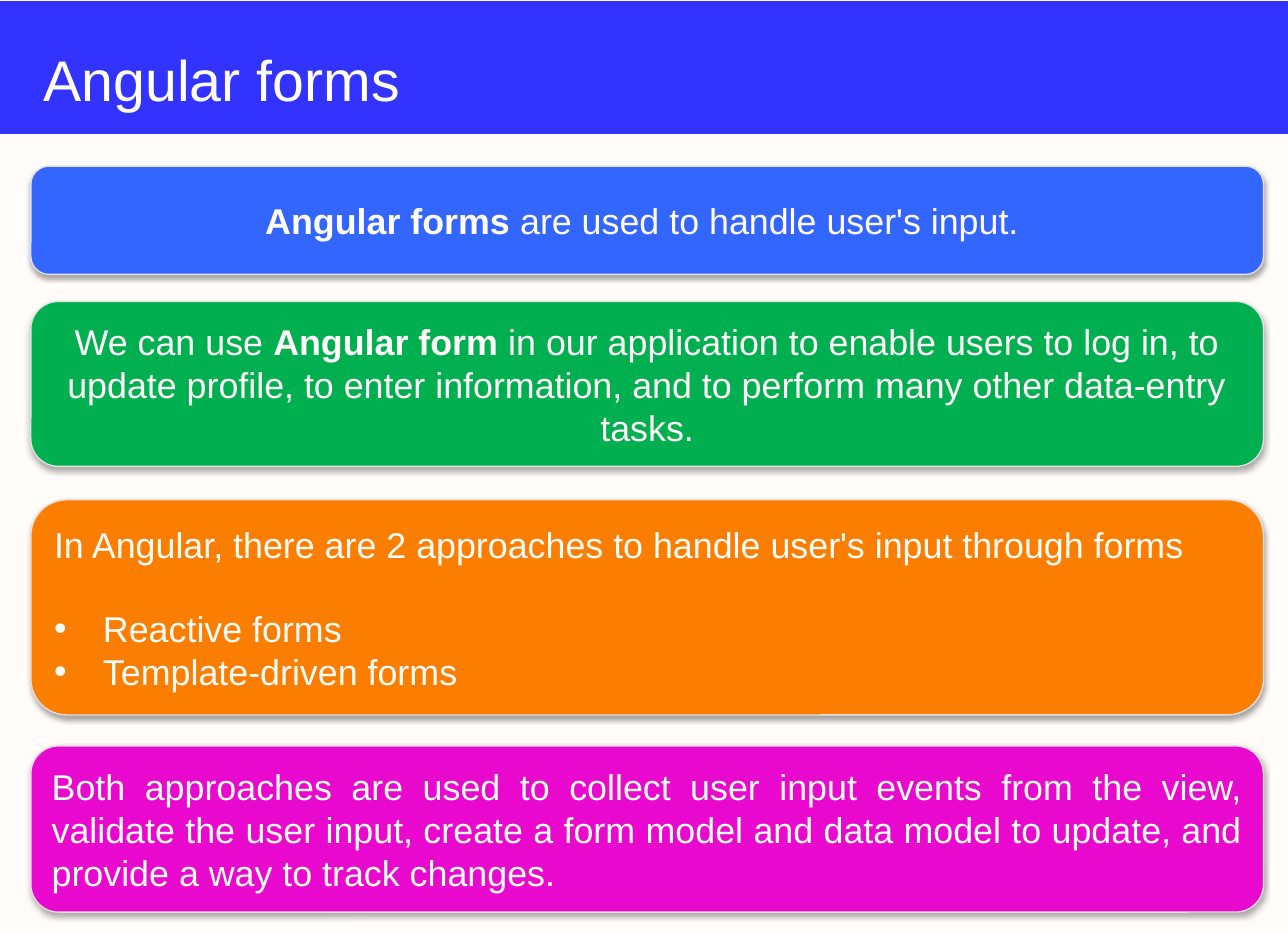
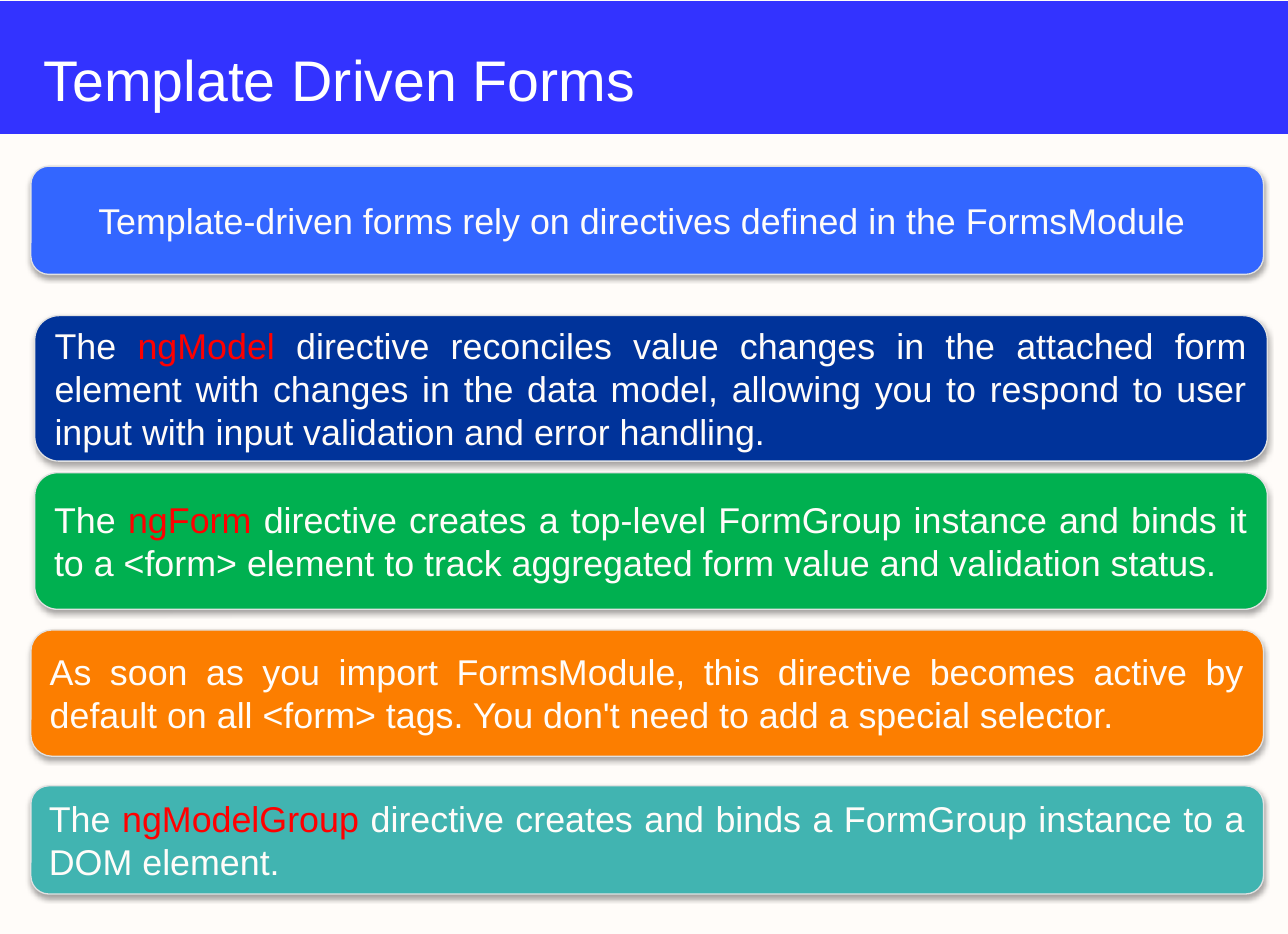
from dataclasses import dataclass

from lxml.etree import SubElement
from pptx import Presentation
from pptx.dml.color import RGBColor
from pptx.enum.shapes import MSO_SHAPE
from pptx.enum.text import MSO_ANCHOR, PP_ALIGN
from pptx.oxml.ns import qn
from pptx.util import Emu, Pt

PX = 9144  # 100 px to the inch
LEFT, CARD_W = 24, 957


@dataclass(frozen=True)
class Theme:
    font: str = "Arial"
    title_size: int = 32
    body_size: int = 20
    background: str = "FFFCF9"
    band: str = "3333FF"
    title: str = "FFFFFF"
    text: str = "FFFCF9"
    keyword: str = "FF0000"
    border: str = "E1E1E1"
    blue: str = "3366FF"
    navy: str = "00339A"
    green: str = "00B050"
    orange: str = "FC7E00"
    magenta: str = "E909CE"
    teal: str = "41B4B1"


def px(*lengths):
    return [Emu(n * PX) for n in lengths]


class Deck:
    def __init__(self, theme):
        self.theme = theme
        self.prs = Presentation()
        self.prs.slide_width, self.prs.slide_height = px(1000, 725)
        self.s = None

    def slide(self, title):
        """Start a slide with its background, title band and title."""
        t = self.theme
        self.s = self.prs.slides.add_slide(self.prs.slide_layouts[6])
        fill = self.s.background.fill
        fill.solid()
        fill.fore_color.rgb = RGBColor.from_string(t.background)
        self.box(MSO_SHAPE.RECTANGLE, 0, 1, 1000, 103, t.band).line.fill.background()

        tf = self.s.shapes.add_textbox(*px(LEFT, 28, CARD_W, 60)).text_frame
        tf.word_wrap = True
        tf.vertical_anchor = MSO_ANCHOR.BOTTOM
        tf.margin_bottom = 0
        tf.text = title
        self.style(tf.paragraphs[0].runs[0], t.title_size, t.title)

    def box(self, kind, x, y, w, h, color):
        sp = self.s.shapes.add_shape(kind, *px(x, y, w, h))
        sp.shadow.inherit = False
        sp.fill.solid()
        sp.fill.fore_color.rgb = RGBColor.from_string(color)
        return sp

    def style(self, r, size, color, bold=False):
        r.font.name = self.theme.font
        r.font.size = Pt(size)
        r.font.bold = bold
        r.font.color.rgb = RGBColor.from_string(color)

    def card(self, y, h, color, *parts, x=LEFT, align=PP_ALIGN.JUSTIFY):
        """Rounded card; a part is plain text or a (text, "bold" | "keyword") pair."""
        t = self.theme
        sp = self.box(MSO_SHAPE.ROUNDED_RECTANGLE, x, y, CARD_W, h, color)
        sp.line.color.rgb = RGBColor.from_string(t.border)
        sp.line.width = Pt(0.75)
        self.shadow(sp)
        tf = sp.text_frame
        tf.word_wrap = True
        tf.vertical_anchor = MSO_ANCHOR.MIDDLE
        p = tf.paragraphs[0]
        p.alignment = align
        for part in parts:
            text, kind = (part, None) if isinstance(part, str) else part
            r = p.add_run()
            r.text = text
            self.style(r, t.body_size, t.keyword if kind == "keyword" else t.text,
                       kind == "bold")
        return tf

    def shadow(self, sp):
        effects = sp._element.spPr.find(qn("a:effectLst"))
        outer = SubElement(effects, qn("a:outerShdw"), blurRad="40000", dist="23000",
                           dir="5400000", rotWithShape="0")
        black = SubElement(outer, qn("a:srgbClr"), val="000000")
        SubElement(black, qn("a:alpha"), val="35000")

    def bullets(self, tf, items, gap):
        """Append bulleted items, the first one set off by gap points."""
        for i, item in enumerate(items):
            p = tf.add_paragraph()
            p.text = item
            p.alignment = PP_ALIGN.JUSTIFY
            p.space_before = Pt(0 if i else gap)
            self.style(p.runs[0], self.theme.body_size, self.theme.text)
            pPr = p._p.get_or_add_pPr()
            pPr.set("marL", str(38 * PX))
            pPr.set("indent", str(-38 * PX))
            SubElement(pPr, qn("a:buFont"), typeface=self.theme.font)
            SubElement(pPr, qn("a:buChar"), char="•")


def main():
    t = Theme()
    deck = Deck(t)

    # Overview of forms
    deck.slide("Angular forms")
    deck.card(129, 84, t.blue, ("Angular forms", "bold"),
              " are used to handle user's input. ", align=PP_ALIGN.CENTER)
    deck.card(234, 128, t.green, "We can use ", ("Angular form", "bold"),
              " in our application to enable users to log in, to update profile, "
              "to enter information, and to perform many other data-entry tasks.",
              align=PP_ALIGN.CENTER)
    approaches = deck.card(388, 167, t.orange, "In Angular, there are 2 approaches to "
                           "handle user's input through forms")
    deck.bullets(approaches, ["Reactive forms", "Template-driven forms"], gap=23)
    deck.card(579, 129, t.magenta,
              "Both approaches are used to collect user input events from the view, "
              "validate the user input, create a form model and data model to update, "
              "and provide a way to track changes.")

    # Template-driven directives
    deck.slide("Template Driven Forms")
    deck.card(129, 84, t.blue, "Template-driven forms rely on directives defined in "
              "the FormsModule ", align=PP_ALIGN.CENTER)
    deck.card(245, 113, t.navy, "The ", ("ngModel", "keyword"),
              " directive reconciles value changes in the attached form element with "
              "changes in the data model, allowing you to respond to user input with "
              "input validation and error handling. ", x=27)
    deck.card(367, 106, t.green, "The ", ("ngForm", "keyword"),
              " directive creates a top-level FormGroup instance and binds it to "
              "a <form> element to track aggregated form value and validation status. ",
              x=27)
    deck.card(489, 98, t.orange,
              "As soon as you import FormsModule, this directive becomes active by "
              "default on all <form> tags. You don't need to add a special selector. ")
    deck.card(610, 84, t.teal, "The ", ("ngModelGroup", "keyword"),
              " directive creates and binds a FormGroup instance to a DOM element. ")

    deck.prs.save("out.pptx")


if __name__ == "__main__":
    main()
